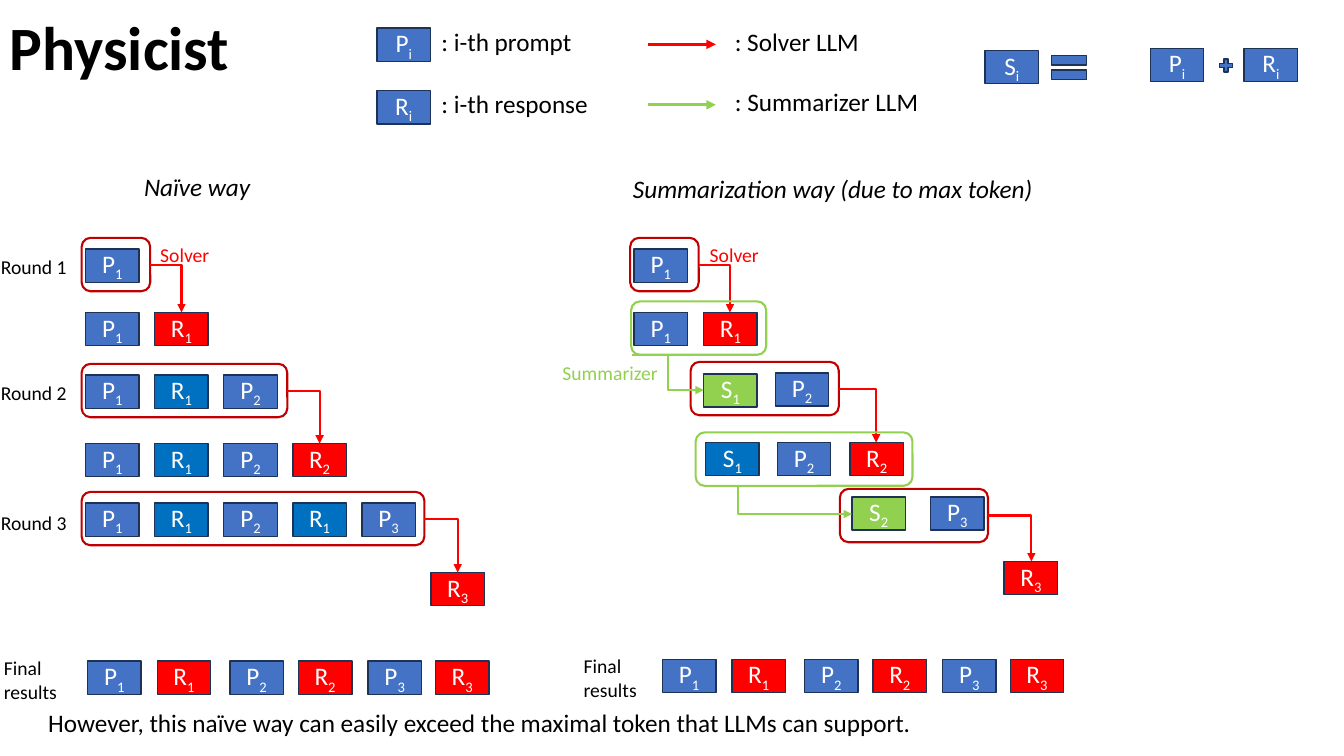
from dataclasses import dataclass

from lxml import etree
from pptx import Presentation
from pptx.dml.color import RGBColor
from pptx.enum.shapes import MSO_CONNECTOR, MSO_SHAPE
from pptx.enum.text import MSO_ANCHOR, MSO_AUTO_SIZE, PP_ALIGN
from pptx.oxml.ns import qn
from pptx.util import Inches, Pt

PROCESS, ROUNDED = MSO_SHAPE.FLOWCHART_PROCESS, MSO_SHAPE.ROUNDED_RECTANGLE
PLUS, EQUAL = MSO_SHAPE.MATH_PLUS, MSO_SHAPE.MATH_EQUAL
STRAIGHT, ELBOW = MSO_CONNECTOR.STRAIGHT, MSO_CONNECTOR.ELBOW
TOP, MIDDLE = MSO_ANCHOR.TOP, MSO_ANCHOR.MIDDLE
LEFT, CENTER = PP_ALIGN.LEFT, PP_ALIGN.CENTER
GROW, FIXED = MSO_AUTO_SIZE.SHAPE_TO_FIT_TEXT, MSO_AUTO_SIZE.NONE


@dataclass(frozen=True)
class Theme:
    font: str = "Calibri"
    title: int = 44
    body: int = 18
    small: int = 14
    ink: str = "000000"
    white: str = "FFFFFF"
    prompt: str = "4472C4"
    history: str = "0070C0"
    outline: str = "1E3256"
    solver: str = "FF0000"
    solver_frame: str = "C00000"
    summarizer: str = "92D050"


THEME = Theme()
CHIP_WIDTH, CHIP_HEIGHT = 0.53, 0.33
FRAME_HEIGHT = 0.53
PITCH = 0.685
FINAL_OFFSETS = (0, 0.69, 1.41, 2.09, 2.78, 3.45)


def colour(value):
    return RGBColor.from_string(value)


# Basic parts
def write(shape, text, size=THEME.body, color=THEME.ink, bold=False, italic=False,
          align=LEFT, anchor=TOP, spacing=None, subscript="", fit=FIXED):
    frame = shape.text_frame
    frame.word_wrap = True
    frame.auto_size = fit
    frame.vertical_anchor = anchor
    for index, line in enumerate(text.split("\n")):
        paragraph = frame.add_paragraph() if index else frame.paragraphs[0]
        paragraph.alignment = align
        if spacing:
            paragraph.line_spacing = spacing
        for part in filter(None, (line, subscript)):
            run = paragraph.add_run()
            run.text = part
            font = run.font
            font.name, font.size, font.bold, font.italic = THEME.font, Pt(size), bold, italic
            font.color.rgb = colour(color)
            if part == subscript:
                font._element.set("baseline", "-25000")


def add_label(slide, text, left, top, width, height=0.4, fit=GROW, **text_format):
    box = slide.shapes.add_textbox(Inches(left), Inches(top), Inches(width), Inches(height))
    write(box, text, fit=fit, **text_format)


def add_block(slide, kind, left, top, width, height, fill=None, line=THEME.outline, weight=1):
    shape = slide.shapes.add_shape(kind, Inches(left), Inches(top), Inches(width), Inches(height))
    shape.shadow.inherit = False
    if fill:
        shape.fill.solid()
        shape.fill.fore_color.rgb = colour(fill)
    else:
        shape.fill.background()
    shape.line.color.rgb = colour(line)
    shape.line.width = Pt(weight)
    return shape


def add_chip(slide, name, left, top):
    """A name such as P1; a trailing * marks a newly generated R or S."""
    letter, index = name[:2]
    if name.endswith("*"):
        fill = THEME.solver if letter == "R" else THEME.summarizer
    else:
        fill = THEME.prompt if letter == "P" or index == "i" else THEME.history
    chip = add_block(slide, PROCESS, left, top, CHIP_WIDTH, CHIP_HEIGHT, fill)
    write(chip, letter, color=THEME.white, align=CENTER, anchor=MIDDLE, subscript=index)


def add_chips(slide, names, left, top, offsets=None):
    for column, name in enumerate(names.split()):
        offset = offsets[column] if offsets else column * PITCH
        add_chip(slide, name, left + offset, top)


def add_frame(slide, left, top, width, color=THEME.solver_frame):
    add_block(slide, ROUNDED, left, top, width, FRAME_HEIGHT, line=color, weight=1.5)


def add_arrow(slide, start, end, color, kind=ELBOW, weight=1.5, bend=None):
    """An elbow turns once, or twice when bend gives the turning point in percent."""
    points = [Inches(value) for value in (*start, *end)]
    connector = slide.shapes.add_connector(kind, *points)
    connector.line.color.rgb = colour(color)
    connector.line.width = Pt(weight)
    properties = connector._element.spPr
    geometry = properties.find(qn("a:prstGeom"))
    if kind == ELBOW and bend is None:
        geometry.set("prst", "bentConnector2")
    elif bend is not None:
        etree.SubElement(geometry.find(qn("a:avLst")), qn("a:gd"),
                         name="adj1", fmla=f"val {bend * 1000}")
    etree.SubElement(properties.find(qn("a:ln")), qn("a:tailEnd"), type="triangle")
    etree.SubElement(properties, qn("a:effectLst"))


# Regions
def legend(slide, left, top):
    chips = (("Pi", ": i-th prompt"), ("Ri", ": i-th response"))
    for row, (name, meaning) in enumerate(chips):
        y = top + row * 0.62
        add_chip(slide, name, left, y + 0.07)
        add_label(slide, meaning, left + 0.54, y, 2.11)
    arrows = ((THEME.solver, ": Solver LLM", 1.6), (THEME.summarizer, ": Summarizer LLM", 2.31))
    for row, (color, meaning, width) in enumerate(arrows):
        y = top + row * 0.6
        add_arrow(slide, (left + 2.69, y + 0.23), (left + 3.36, y + 0.23), color, STRAIGHT, 2.25)
        add_label(slide, meaning, left + 3.45, y, width)


def summary_formula(slide, left, top):
    add_chip(slide, "Si", left, top + 0.03)
    add_block(slide, EQUAL, left + 0.6, top, 0.47, 0.4, THEME.prompt)
    add_chip(slide, "Pi", left + 1.64, top + 0.01)
    add_block(slide, PLUS, left + 2.3, top + 0.09, 0.18, 0.18, THEME.prompt)
    add_chip(slide, "Ri", left + 2.57, top + 0.01)


def naive_way(slide, left, top):
    add_label(slide, "Naïve way", left + 0.52, top - 0.71, 1.52, italic=True)
    add_label(slide, "Solver", left + 0.68, top, 1.02, 0.34, size=THEME.small, color=THEME.solver)
    # Round: label top, frame top, input chips, result top, result chips, first result column
    rounds = (
        (0.12, 0, "P1", 0.74, "P1 R1*", 0),
        (1.37, 1.25, "P1 R1 P2", 2.04, "P1 R1 P2 R2*", 0),
        (2.66, 2.52, "P1 R1 P2 R1 P3", 3.32, "R3*", 5),
    )
    for number, (label_top, frame_top, inputs, result_top, results, column) in enumerate(rounds, 1):
        count = len(inputs.split())
        chips_left, frame_y = left + 0.04, top + frame_top
        add_label(slide, f"Round {number}", left - 0.9, top + label_top, 0.87, 0.34, size=THEME.small)
        add_chips(slide, inputs, chips_left, frame_y + 0.11)
        add_chips(slide, results, chips_left + column * PITCH, top + result_top)
        add_frame(slide, left, frame_y, 0.68 * count)
        target = chips_left + count * PITCH + CHIP_WIDTH / 2
        add_arrow(slide, (left + 0.68 * count, frame_y + FRAME_HEIGHT / 2),
                  (target, top + result_top), THEME.solver)


def summarization_way(slide, left, top):
    add_label(slide, "Summarization way (due to max token)", left - 0.07, top - 0.69, 4.23,
              italic=True)
    notes = (("Solver", 0.69, 0, 1.02, THEME.solver),
             ("Summarizer", -0.77, 1.17, 1.24, THEME.summarizer))
    for text, x, y, width, color in notes:
        add_label(slide, text, left + x, top + y, width, 0.34, size=THEME.small, color=color)
    chips = (
        ("P1", 0.04, 0.11), ("P1", 0.04, 0.74), ("R1*", 0.73, 0.74),
        ("S1*", 0.73, 1.35), ("P2", 1.44, 1.34),
        ("S1", 0.75, 2.03), ("P2", 1.46, 2.03), ("R2*", 2.18, 2.03),
        ("S2*", 2.2, 2.57), ("P3", 2.98, 2.57), ("R3*", 3.71, 3.21),
    )
    for name, x, y in chips:
        add_chip(slide, name, left + x, top + y)
    # Solver: frame left, top and width, then the arrow's end
    for x, y, width, end_x, end_y in ((0, 0, 0.68, 0.99, 0.74),
                                      (0.6, 1.23, 1.47, 2.44, 2.03),
                                      (2.08, 2.49, 1.47, 3.98, 3.21)):
        add_frame(slide, left + x, top + y, width)
        add_arrow(slide, (left + x + width, top + y + FRAME_HEIGHT / 2),
                  (left + end_x, top + end_y), THEME.solver)
    # Summarizer: frame left, top and width, then the arrow's start, end and bend
    for x, y, width, start_x, end_x, end_y, bend in ((0.01, 0.63, 1.34, 0.02, 0.73, 1.51, 50),
                                                     (0.65, 1.93, 2.15, 1, 2.2, 2.74, 6)):
        add_frame(slide, left + x, top + y, width, THEME.summarizer)
        add_arrow(slide, (left + start_x, top + y + FRAME_HEIGHT),
                  (left + end_x, top + end_y), THEME.summarizer, bend=bend)


def final_results(slide, left, top, caption, gap, width):
    add_label(slide, caption, left, top, width, 0.57, size=THEME.small)
    add_chips(slide, "P1 R1* P2 R2* P3 R3*", left + gap, top + 0.1, FINAL_OFFSETS)


def build():
    presentation = Presentation()
    presentation.slide_width, presentation.slide_height = Inches(13.33), Inches(7.5)
    slide = presentation.slides.add_slide(presentation.slide_layouts[6])
    add_label(slide, "Physicist", 0, -0.22, 11.5, 1.45, fit=FIXED, size=THEME.title,
              bold=True, anchor=MIDDLE, spacing=0.9)
    legend(slide, 3.74, 0.21)
    summary_formula(slide, 9.77, 0.47)
    naive_way(slide, 0.81, 2.36)
    summarization_way(slide, 6.25, 2.36)
    final_results(slide, -0.06, 6.46, "Final \nresults", 0.93, 0.97)
    final_results(slide, 5.69, 6.44, "Final results", 0.88, 0.88)
    add_label(slide, "However, this naïve way can easily exceed the maximal token "
              "that LLMs can support.", 0.38, 6.97, 9.6)
    presentation.save("out.pptx")


build()
